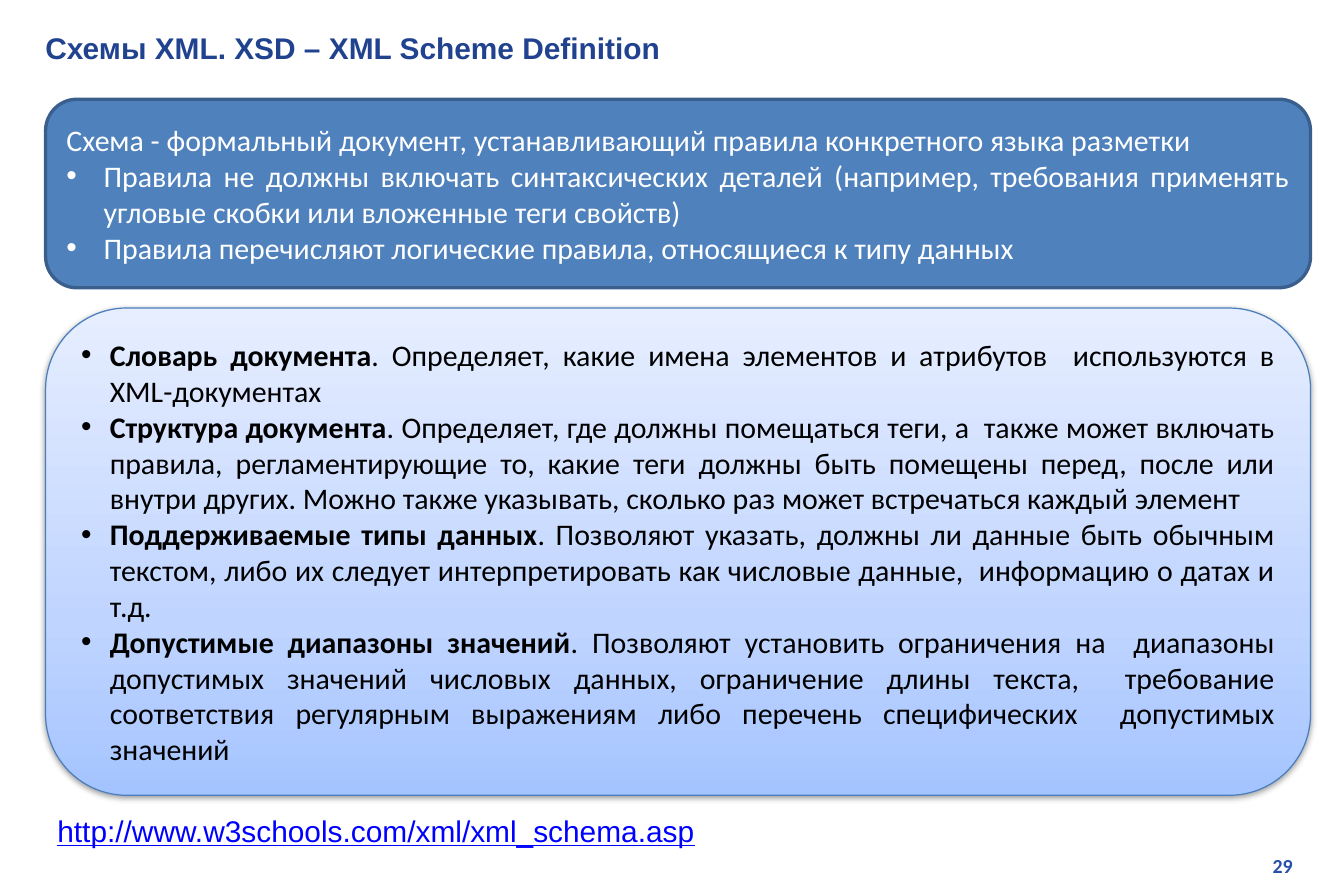
"""Builds the slide on XML schemas and what an XSD defines."""
from copy import deepcopy
from lxml.etree import SubElement
from pptx import Presentation
from pptx.dml.color import RGBColor
from pptx.enum.shapes import MSO_SHAPE as SHAPE
from pptx.enum.text import MSO_ANCHOR as ANCHOR, PP_ALIGN as ALIGN
from pptx.oxml.ns import qn
from pptx.util import Cm, Pt

COLORS = {
    "title": "21438F", "number": "2750AB", "link": "0000FF",
    "white": "FFFFFF", "black": "000000",
    "rule_fill": "4F81BD", "rule_line": "3A5F8C", "parts_line": "4B7EBC",
}
GRADIENT = [(0, "A4C4FF"), (0.35, "BFD4FF"), (1, "E6EEFF")]
LEFT, WIDTH = Cm(0.97), Cm(26.9)

RULES = [
    "Схема - формальный документ, устанавливающий правила конкретного языка разметки",
    "Правила не должны включать синтаксических деталей (например, требования применять "
    "угловые скобки или вложенные теги свойств)",
    "Правила перечисляют логические правила, относящиеся к типу данных",
]
PARTS = [
    ("Словарь документа",
     ". Определяет, какие имена элементов и атрибутов  используются в XML-документах"),
    ("Структура документа",
     ". Определяет, где должны помещаться теги, а  также может включать правила, "
     "регламентирующие то, какие теги должны быть помещены перед, после или внутри других. "
     "Можно также указывать, сколько раз может встречаться каждый элемент"),
    ("Поддерживаемые типы данных",
     ". Позволяют указать, должны ли данные быть обычным текстом, либо их следует "
     "интерпретировать как числовые данные,  информацию о датах и т.д."),
    ("Допустимые диапазоны значений",
     ". Позволяют установить ограничения на  диапазоны допустимых значений числовых данных, "
     "ограничение длины текста,  требование соответствия регулярным выражениям либо перечень "
     "специфических  допустимых значений"),
]


def add_run(p, text, color, font="Calibri", size=18, bold=False):
    r = p.add_run()
    r.text = text
    r.font.name, r.font.size, r.font.bold = font, Pt(size), bold
    r.font.color.rgb = RGBColor.from_string(COLORS[color])
    return r


def add_item(tf, i, margin=None):
    p = tf.add_paragraph() if i else tf.paragraphs[0]
    p.alignment = ALIGN.JUSTIFY
    if margin is not None:
        pPr = p._p.get_or_add_pPr()
        pPr.set("marL", str(margin))
        pPr.set("indent", str(-Cm(0.79)))
        SubElement(pPr, qn("a:buFont"), typeface="Arial")
        SubElement(pPr, qn("a:buChar"), char="•")
    return p


prs = Presentation()
prs.slide_width, prs.slide_height = Cm(28.58), Cm(19.05)
s = prs.slides.add_slide(prs.slide_layouts[5])

title = s.shapes.title
title.left, title.top, title.width, title.height = Cm(0.71), Cm(0.51), Cm(27.28), Cm(1.02)
tf = title.text_frame
tf.vertical_anchor = ANCHOR.MIDDLE
p = tf.paragraphs[0]
p.alignment = ALIGN.LEFT
add_run(p, "Схемы XML. XSD – XML Scheme Definition", "title", "Arial", bold=True)

boxes = []
for top, height, line, weight in [(2.11, 4.01, "rule_line", 2), (6.55, 10.36, "parts_line", 0.75)]:
    sp = s.shapes.add_shape(SHAPE.ROUNDED_RECTANGLE, LEFT, Cm(top), WIDTH, Cm(height))
    sp.shadow.inherit = False
    sp.line.color.rgb = RGBColor.from_string(COLORS[line])
    sp.line.width = Pt(weight)
    sp.text_frame.word_wrap = True
    sp.text_frame.vertical_anchor = ANCHOR.MIDDLE
    boxes.append(sp)
rules, parts = boxes

rules.fill.solid()
rules.fill.fore_color.rgb = RGBColor.from_string(COLORS["rule_fill"])
for i, text in enumerate(RULES):
    p = add_item(rules.text_frame, i, Cm(0.79) if i else None)
    add_run(p, text, "white")

parts.fill.gradient()
parts.fill.gradient_angle = 90
spPr = parts._element.spPr
stops = spPr.find(".//" + qn("a:gsLst"))
stops.append(deepcopy(stops[0]))
for stop, (position, color) in zip(parts.fill.gradient_stops, GRADIENT):
    stop.position = position
    stop.color.rgb = RGBColor.from_string(color)
shadow = SubElement(spPr.find(qn("a:effectLst")), qn("a:outerShdw"), blurRad=str(Pt(3.1)),
                    dist=str(Pt(1.6)), dir="5400000", rotWithShape="0")
tint = SubElement(shadow, qn("a:srgbClr"), val=COLORS["black"])
SubElement(tint, qn("a:alpha"), val="38000")
for i, (term, text) in enumerate(PARTS):
    p = add_item(parts.text_frame, i, Cm(0.61))
    add_run(p, term, "black", bold=True)
    add_run(p, text, "black")

link = s.shapes.add_textbox(LEFT, Cm(17.15), Cm(14.2), Cm(1.02))
link.text_frame.word_wrap = False
r = add_run(link.text_frame.paragraphs[0], "http://www.w3schools.com/xml/xml_schema.asp", "link", "Arial")
r.font.underline = True

number = s.shapes.add_textbox(Cm(21.69), Cm(18.03), Cm(6.05), Cm(0.76))
number.text_frame.word_wrap = True
p = number.text_frame.paragraphs[0]
p.alignment = ALIGN.RIGHT
add_run(p, "29", "number", size=12, bold=True)

prs.save("out.pptx")
